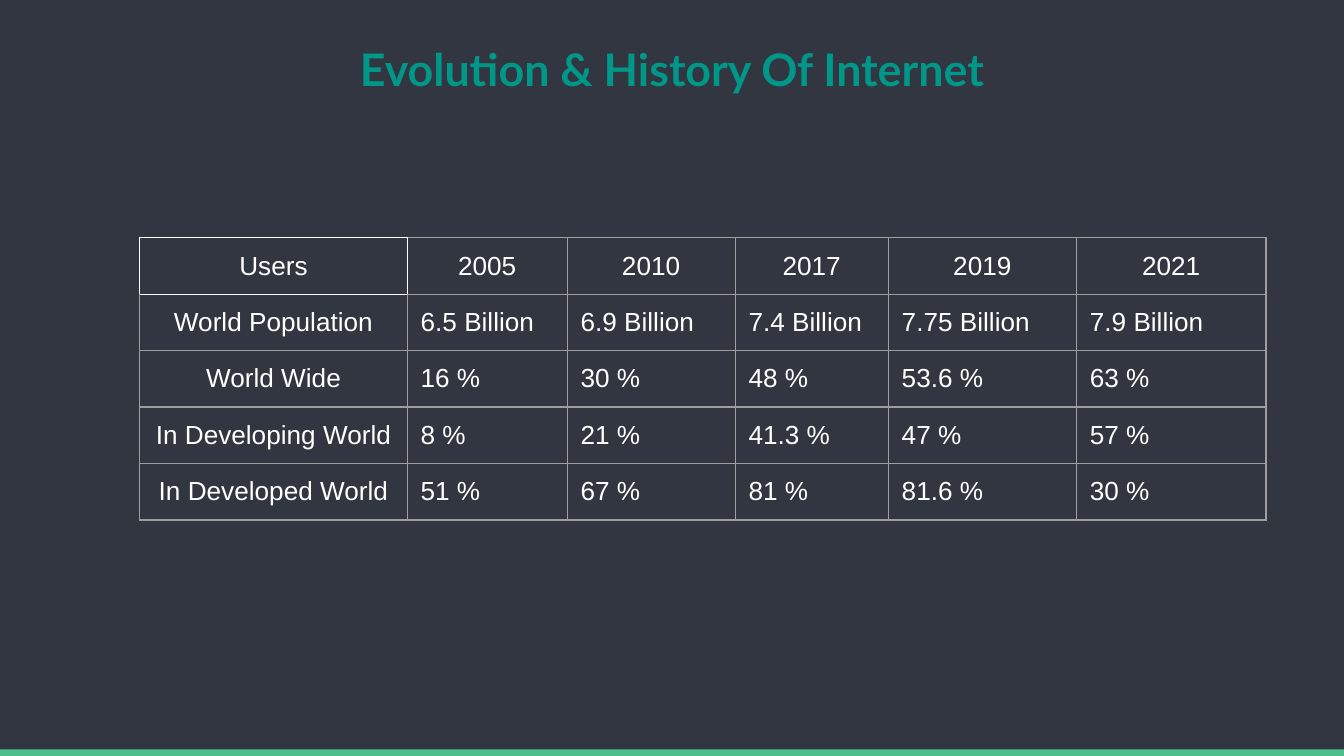
from lxml.etree import SubElement
from pptx import Presentation
from pptx.dml.color import RGBColor
from pptx.enum.shapes import MSO_SHAPE
from pptx.enum.text import MSO_ANCHOR, MSO_AUTO_SIZE, PP_ALIGN
from pptx.oxml.ns import qn
from pptx.util import Inches, Pt

SLIDE_WIDTH = Inches(10)
SLIDE_HEIGHT = Inches(10 * 9 / 16)
BAR_HEIGHT = Inches(0.05)

BACKGROUND = "313640"
GREEN = "4FC08D"
TEAL = "009688"
WHITE = "FFFFFF"
GRAY = "9E9E9E"

COLUMN_WIDTHS = [1.99, 1.19, 1.25, 1.14, 1.4, 1.41]
ROW_HEIGHT = 0.42
USERS = [
    ["Users", "2005", "2010", "2017", "2019", "2021"],
    ["World Population", "6.5 Billion", "6.9 Billion", "7.4 Billion", "7.75 Billion", "7.9 Billion"],
    ["World Wide", "16 %", "30 %", "48 %", "53.6 %", "63 %"],
    ["In Developing World", "8 %", "21 %", "41.3 %", "47 %", "57 %"],
    ["In Developed World", "51 %", "67 %", "81 %", "81.6 %", "30 %"],
]


def color(value):
    return RGBColor.from_string(value)


def format_paragraph(paragraph, font_name, size, font_color, alignment, bold=False):
    paragraph.alignment = alignment
    font = paragraph.font
    font.name = font_name
    font.size = Pt(size)
    font.bold = bold
    font.color.rgb = color(font_color)


def set_title(slide, text):
    title = slide.shapes.title
    title.left, title.top = Inches(0.34), Inches(0.25)
    title.width, title.height = Inches(9.32), Inches(0.83)
    frame = title.text_frame
    frame.auto_size = MSO_AUTO_SIZE.NONE
    frame.vertical_anchor = MSO_ANCHOR.MIDDLE
    frame.margin_left = frame.margin_right = frame.margin_top = 0
    frame.margin_bottom = Inches(0.31)
    frame.text = text
    format_paragraph(frame.paragraphs[0], "Lato", 24, TEAL, PP_ALIGN.CENTER, bold=True)


def add_bottom_bar(slide):
    bar = slide.shapes.add_shape(
        MSO_SHAPE.RECTANGLE, 0, SLIDE_HEIGHT - BAR_HEIGHT, SLIDE_WIDTH, BAR_HEIGHT
    )
    bar.shadow.inherit = False
    bar.fill.solid()
    bar.fill.fore_color.rgb = color(GREEN)
    bar.line.fill.background()


def set_borders(cell, side_colors):
    properties = cell._tc.get_or_add_tcPr()
    for side, side_color in side_colors.items():
        line = SubElement(properties, qn(f"a:ln{side}"), w=str(Pt(0.75)))
        fill = SubElement(line, qn("a:solidFill"))
        SubElement(fill, qn("a:srgbClr"), val=side_color)


def border_colors(row, column):
    colors = dict.fromkeys("LRTB", GRAY)
    if (row, column) == (0, 0):
        colors = dict.fromkeys("LRTB", WHITE)
    elif (row, column) == (0, 1):
        colors["L"] = WHITE
    elif (row, column) == (1, 0):
        colors["T"] = WHITE
    return colors


def format_cell(cell, text, row, column):
    set_borders(cell, border_colors(row, column))
    cell.fill.background()
    cell.margin_left = cell.margin_right = Inches(0.1)
    cell.margin_top = cell.margin_bottom = Inches(0.1)
    cell.text = text
    is_heading = row == 0 or column == 0
    alignment = PP_ALIGN.CENTER if is_heading else PP_ALIGN.LEFT
    format_paragraph(cell.text_frame.paragraphs[0], "Arial", 14, WHITE, alignment)


def add_users_table(slide):
    table = slide.shapes.add_table(
        len(USERS), len(COLUMN_WIDTHS), Inches(1.04), Inches(1.77),
        Inches(sum(COLUMN_WIDTHS)), Inches(ROW_HEIGHT * len(USERS)),
    ).table
    table.first_row = False
    table.horz_banding = False
    for column, width in zip(table.columns, COLUMN_WIDTHS):
        column.width = Inches(width)
    for row, texts in enumerate(USERS):
        table.rows[row].height = Inches(ROW_HEIGHT)
        for column, text in enumerate(texts):
            format_cell(table.cell(row, column), text, row, column)


def main():
    presentation = Presentation()
    presentation.slide_width = SLIDE_WIDTH
    presentation.slide_height = SLIDE_HEIGHT
    slide = presentation.slides.add_slide(presentation.slide_layouts[5])
    slide.background.fill.solid()
    slide.background.fill.fore_color.rgb = color(BACKGROUND)
    add_bottom_bar(slide)
    set_title(slide, "Evolution & History Of Internet")
    add_users_table(slide)
    presentation.save("out.pptx")


if __name__ == "__main__":
    main()
